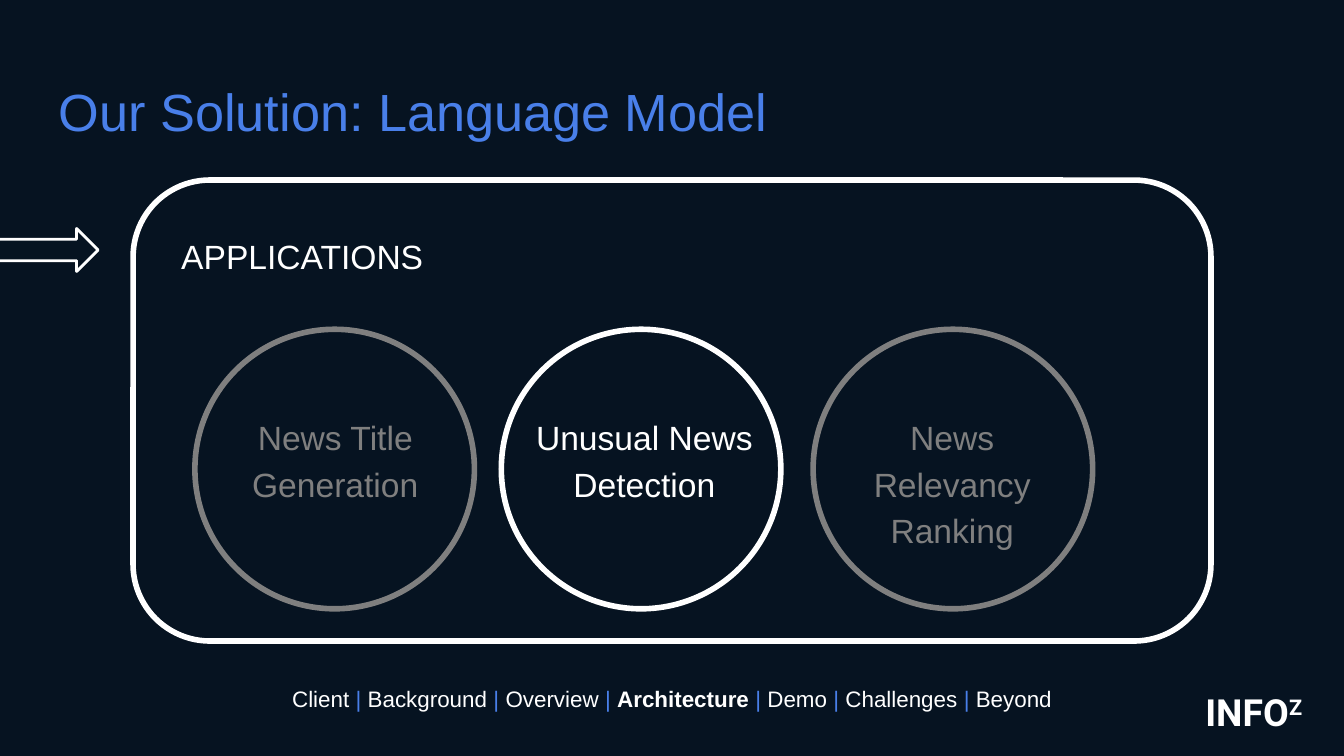
from pptx import Presentation
from pptx.dml.color import RGBColor
from pptx.enum.shapes import MSO_SHAPE
from pptx.enum.text import MSO_ANCHOR, PP_ALIGN
from pptx.util import Inches, Pt

NAVY = RGBColor(0x06, 0x13, 0x21)
BLUE = RGBColor(0x49, 0x7F, 0xE9)
WHITE = RGBColor(0xFF, 0xFF, 0xFF)
GRAY = RGBColor(0x7F, 0x7F, 0x7F)

SECTIONS = ["Client", "Background", "Overview", "Architecture",
            "Demo", "Challenges", "Beyond"]
CURRENT_SECTION = "Architecture"

# Circle left, label left, label, colour
APPLICATIONS = [
    (1.45, 1.48, "News Title Generation", GRAY),
    (3.73, 3.78, "Unusual News Detection", WHITE),
    (6.05, 6.07, "News Relevancy Ranking", GRAY),
]


def add_run(paragraph, text, size=18, color=WHITE, font="Arial", bold=False,
            superscript=False):
    run = paragraph.add_run()
    run.text = text
    run.font.name = font
    run.font.size = Pt(size)
    run.font.bold = bold
    run.font.color.rgb = color
    if superscript:
        run._r.get_or_add_rPr().set("baseline", "30000")


def add_text_box(slide, left, top, width, height, align=PP_ALIGN.LEFT,
                 line_spacing=1.0):
    """Add an empty text box and return its paragraph."""
    shape = slide.shapes.add_textbox(Inches(left), Inches(top),
                                     Inches(width), Inches(height))
    frame = shape.text_frame
    frame.word_wrap = True
    frame.vertical_anchor = MSO_ANCHOR.TOP
    frame.margin_left = frame.margin_right = Inches(0.1)
    frame.margin_top = frame.margin_bottom = Inches(0.1)
    paragraph = frame.paragraphs[0]
    paragraph.alignment = align
    paragraph.line_spacing = line_spacing
    return paragraph


def add_outline(slide, kind, left, top, width, height, color=WHITE,
                line_width=3):
    shape = slide.shapes.add_shape(kind, Inches(left), Inches(top),
                                   Inches(width), Inches(height))
    shape.shadow.inherit = False
    shape.fill.background()
    shape.line.color.rgb = color
    shape.line.width = Pt(line_width)
    return shape


def add_navigation(slide):
    paragraph = add_text_box(slide, 0, 5, 10, 0.63, align=PP_ALIGN.CENTER)
    for index, section in enumerate(SECTIONS):
        if index:
            add_run(paragraph, "| ", size=12, color=BLUE)
        gap = " " if index < len(SECTIONS) - 1 else ""
        add_run(paragraph, section + gap, size=12,
                bold=section == CURRENT_SECTION)


def add_application(slide, circle_left, label_left, label, color):
    add_outline(slide, MSO_SHAPE.OVAL, circle_left, 2.45, 2.08, 2.08, color)
    paragraph = add_text_box(slide, label_left, 2.96, 2.03, 0.78,
                             align=PP_ALIGN.CENTER, line_spacing=1.15)
    add_run(paragraph, label, color=color)


def main():
    # Widescreen slide, 16:9
    presentation = Presentation()
    presentation.slide_width = Inches(10)
    presentation.slide_height = Inches(10 * 9 / 16)
    slide = presentation.slides.add_slide(presentation.slide_layouts[6])
    slide.background.fill.solid()
    slide.background.fill.fore_color.rgb = NAVY

    # Corner name
    corner = add_text_box(slide, 8.87, 5.03, 1.13, 0.57)
    add_run(corner, "INFO", size=20, font="Roboto", bold=True)
    add_run(corner, "Z", size=20, font="Roboto", bold=True, superscript=True)

    # Frame with its heading
    frame = add_outline(slide, MSO_SHAPE.ROUNDED_RECTANGLE,
                        0.99, 1.34, 8.02, 3.43)
    frame.adjustments[0] = 1 / 6
    heading = add_text_box(slide, 1.25, 1.61, 2.49, 0.5, line_spacing=1.15)
    add_run(heading, "APPLICATIONS")

    # Title
    title = add_text_box(slide, 0.34, 0.49, 9.32, 0.63)
    add_run(title, "Our Solution: Language Model", size=28, color=BLUE)

    # Arrow coming in from the left edge
    add_outline(slide, MSO_SHAPE.RIGHT_ARROW, -0.25, 1.7, 0.98, 0.32,
                line_width=1.5)

    add_navigation(slide)

    # Application circles
    for application in APPLICATIONS:
        add_application(slide, *application)

    presentation.save("out.pptx")


if __name__ == "__main__":
    main()
